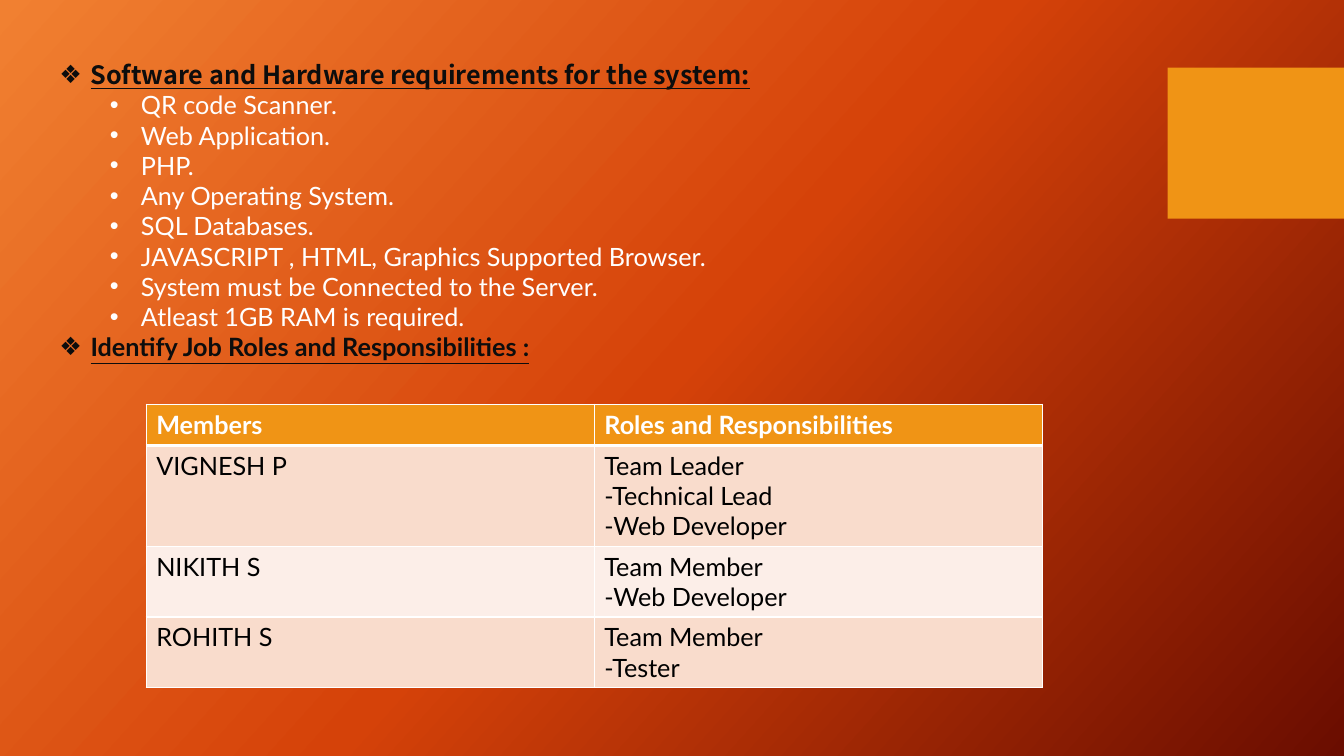
from copy import deepcopy

from lxml import etree
from pptx import Presentation
from pptx.dml.color import RGBColor
from pptx.enum.shapes import MSO_SHAPE
from pptx.oxml.ns import qn
from pptx.util import Emu, Inches, Pt

RECTANGLE = MSO_SHAPE.RECTANGLE
FONT = "Lato"
HEADING_FONT = "Noto Sans CJK TC"
TEXT_SIZE = Pt(18)
COLORS = {
    "accent": "F09415",
    "heading": "0D0D0D",
    "white": "FFFFFF",
    "black": "000000",
    "band_dark": "F9DCCC",
    "band_light": "FCEEE8",
}
BACKGROUND_STOPS = [(0, "F18031"), (0.5, "D54209"), (1, "6A0D00")]
REQUIREMENTS_HEADING = "Software and Hardware requirements for the system:"
REQUIREMENTS = [
    "QR code Scanner.",
    "Web Application.",
    "PHP.",
    "Any Operating System.",
    "SQL Databases.",
    "JAVASCRIPT , HTML, Graphics Supported Browser.",
    "System must be Connected to the Server.",
    "Atleast 1GB RAM is required.",
]
ROLES_HEADING = "Identify Job Roles and Responsibilities :"
ROLES = [
    ("Members", "Roles and Responsibilities"),
    ("VIGNESH P", "Team Leader\n-Technical Lead\n-Web Developer"),
    ("NIKITH S", "Team Member\n-Web Developer"),
    ("ROHITH S", "Team Member\n-Tester"),
]
ROW_HEIGHTS = [0.41, 1.0, 0.7, 0.7]


def color(name):
    return RGBColor.from_string(COLORS[name])


def set_font(paragraph, color_name, bold=False, underline=False, name=FONT):
    font = paragraph.font
    font.name = name
    font.size = TEXT_SIZE
    font.bold = bold
    font.underline = underline
    font.color.rgb = color(color_name)


def set_bullet(paragraph, character, indent):
    properties = paragraph._p.get_or_add_pPr()
    properties.set("marL", str(Inches(indent)))
    properties.set("indent", str(Inches(-0.31)))
    bullet_font = etree.Element(qn("a:buFont"), typeface="Arial")
    bullet = etree.Element(qn("a:buChar"), char=character)
    properties.insert(0, bullet_font)
    properties.insert(1, bullet)


def set_borders(cell, bottom_width):
    properties = cell._tc.get_or_add_tcPr()
    widths = {"a:lnL": 1, "a:lnR": 1, "a:lnT": 1, "a:lnB": bottom_width}
    for index, (side, width) in enumerate(widths.items()):
        line = etree.Element(qn(side), w=str(Pt(width)))
        fill = etree.SubElement(line, qn("a:solidFill"))
        etree.SubElement(fill, qn("a:srgbClr"), val=COLORS["white"])
        properties.insert(index, line)


def paint_background(slide):
    fill = slide.background.fill
    fill.gradient()
    fill.gradient_angle = 360 - 42
    stop_list = next(slide.element.iter(qn("a:gsLst")))
    stop_list.append(deepcopy(stop_list[0]))
    for stop, (position, value) in zip(fill.gradient_stops, BACKGROUND_STOPS):
        stop.position = position
        stop.color.rgb = RGBColor.from_string(value)


def add_accent_block(slide, left, top, width, height):
    block = slide.shapes.add_shape(RECTANGLE, left, top, width, height)
    block.shadow.inherit = False
    block.fill.solid()
    block.fill.fore_color.rgb = color("accent")
    block.line.fill.background()


def add_requirements(slide, left, top, width, height):
    frame = slide.shapes.add_textbox(left, top, width, height).text_frame
    frame.word_wrap = True
    frame.text = "\n".join([REQUIREMENTS_HEADING, *REQUIREMENTS, ROLES_HEADING])
    first, *items, last = frame.paragraphs
    for heading, font_name in ((first, HEADING_FONT), (last, FONT)):
        set_font(heading, "heading", bold=True, underline=True, name=font_name)
        set_bullet(heading, "❖", 0.31)
    for item in items:
        item.level = 1
        set_font(item, "white")
        set_bullet(item, "•", 0.81)


def add_roles_table(slide, left, top, width, height):
    columns = len(ROLES[0])
    table = slide.shapes.add_table(
        len(ROLES), columns, left, top, width, height
    ).table
    for column in table.columns:
        column.width = Emu(width // columns)
    for row_index, row_texts in enumerate(ROLES):
        table.rows[row_index].height = Inches(ROW_HEIGHTS[row_index])
        is_header = row_index == 0
        band = "band_dark" if row_index % 2 else "band_light"
        for column_index, text in enumerate(row_texts):
            cell = table.cell(row_index, column_index)
            cell.text = text
            cell.fill.solid()
            cell.fill.fore_color.rgb = color("accent" if is_header else band)
            # The rule under the header is shared with the row below
            set_borders(cell, 3 if is_header else 1)
            if row_index == 1:
                cell._tc.tcPr.find(qn("a:lnT")).set("w", str(Pt(3)))
            for paragraph in cell.text_frame.paragraphs:
                set_font(paragraph, "white" if is_header else "black", is_header)


def main():
    presentation = Presentation()
    presentation.slide_width = Inches(13.33)
    presentation.slide_height = Inches(7.5)
    slide = presentation.slides.add_slide(presentation.slide_layouts[6])
    paint_background(slide)
    add_accent_block(slide, Inches(11.58), Inches(0.67), Inches(1.75), Inches(1.5))
    add_requirements(slide, Inches(0.49), Inches(0.54), Inches(8.31), Inches(3.13))
    add_roles_table(
        slide, Inches(1.45), Inches(4.01), Inches(8.89), Inches(sum(ROW_HEIGHTS))
    )
    presentation.save("out.pptx")


if __name__ == "__main__":
    main()
